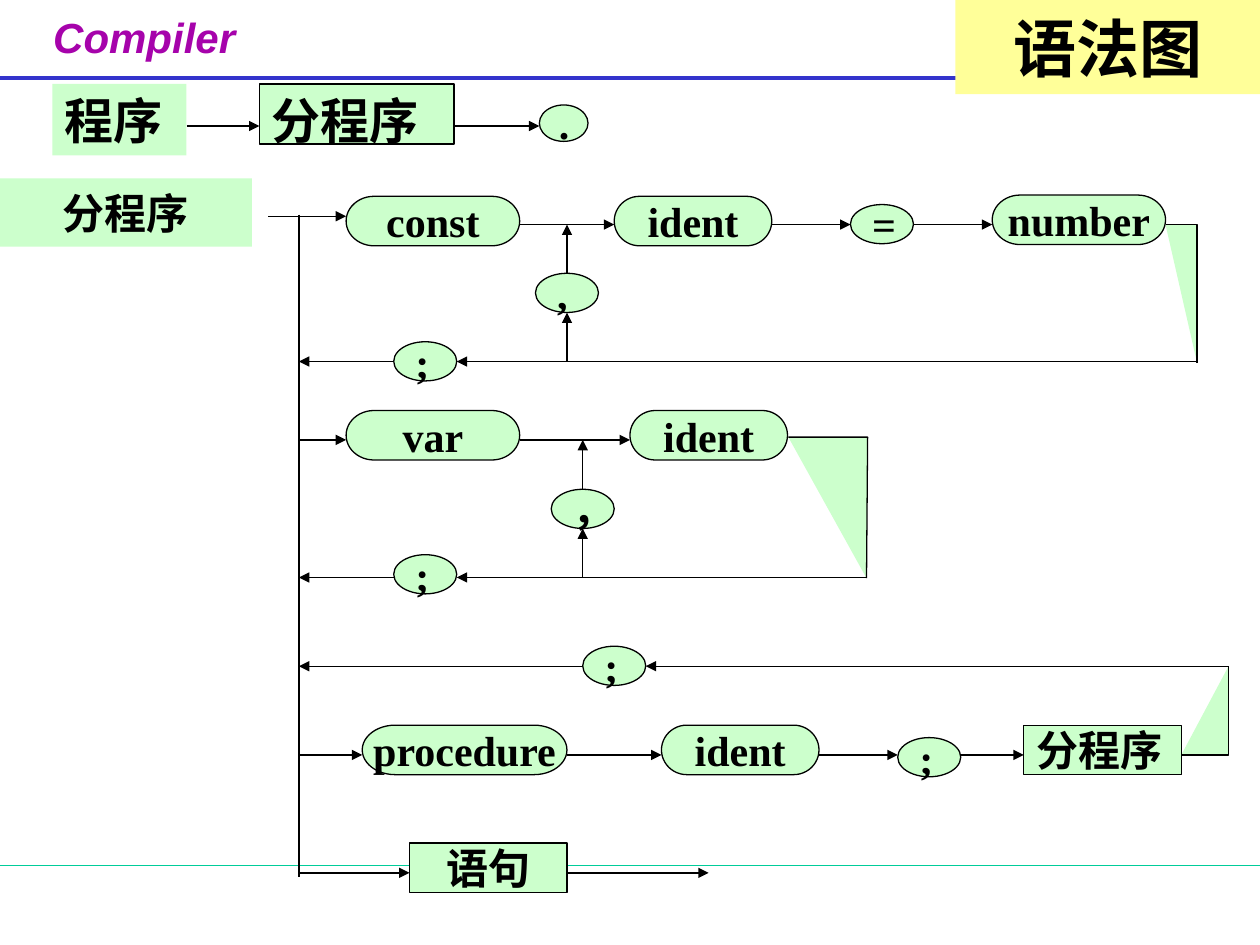
from lxml import etree
from pptx import Presentation
from pptx.dml.color import RGBColor
from pptx.enum.shapes import MSO_CONNECTOR, MSO_SHAPE
from pptx.enum.text import MSO_ANCHOR, PP_ALIGN
from pptx.oxml.ns import qn
from pptx.util import Pt

RECT = MSO_SHAPE.RECTANGLE
STEP = MSO_SHAPE.FLOWCHART_PROCESS
PILL = MSO_SHAPE.FLOWCHART_TERMINATOR
DOT = MSO_SHAPE.FLOWCHART_CONNECTOR
LINE = MSO_CONNECTOR.STRAIGHT
TOP, MID = MSO_ANCHOR.TOP, MSO_ANCHOR.MIDDLE
LEFT, CENTER, JUST = PP_ALIGN.LEFT, PP_ALIGN.CENTER, PP_ALIGN.JUSTIFY

HUES = {"ink": "000000", "green": "CCFFCC", "yellow": "FFFF99",
        "blue": "3333CC", "teal": "00CC99", "purple": "A603AB"}
SERIF, SANS, HAN = "Times New Roman", "Arial", "Noto Sans CJK SC"

RAIL = 170.8
CONST, VAR, PROC, STMT = 128.3, 251.4, 431.4, 498.8
CONST_END, VAR_END, PROC_END = 206.6, 330, 380.7

PILLS = [("const", 197.8, 112.2, 99.2), ("ident", 351, 112.2, 90),
         ("number", 567, 111.5, 99), ("var", 197.8, 234.6, 99.2),
         ("ident", 360, 234.6, 90), ("procedure", 207, 414.4, 117),
         ("ident", 378, 414.4, 90)]
DOTS = [("=", 486, 116.9), (",", 306, 156.2), (";", 225, 195.3),
        ("，", 315, 279.6), (";", 225, 317), (";", 333, 369.3),
        (";", 513, 421.5)]
FLOWS = [(72, [(106.6, 148.3), (259.4, 308.2)]),
         (123.6, [(153.2, 197.8)]),
         (CONST, [(297, 351), (441, 486), (522, 567)]),
         (CONST_END, [(684, 261), (225, RAIL)]),
         (VAR, [(RAIL, 197.8), (297, 360)]),
         (VAR_END, [(495, 261), (225, RAIL)]),
         (PROC_END, [(702, 369), (333, RAIL)]),
         (PROC, [(RAIL, 207), (324, 378), (468, 513), (549, 585)]),
         (STMT, [(RAIL, 234), (324, 405)])]
RISES = [(324, CONST_END, 178.6), (324, 156.2, CONST),
         (333, VAR_END, 302), (333, 279.6, VAR)]
TURNS = [[(666, CONST), (684, CONST), (684, 207.2)],
         [(450.5, 249.8), (495.8, 249.8), (495.2, 330.4)],
         [(675, PROC), (702, PROC), (702, PROC_END)]]


def hue(name):
    """Return the named colour."""
    return RGBColor.from_string(HUES[name])


def write(shape, text, size=24, face=SERIF, align=CENTER, anchor=MID,
          wrap=True, color="ink", italic=False):
    """Put one bold paragraph into a shape."""
    frame = shape.text_frame
    frame.word_wrap = wrap
    frame.vertical_anchor = anchor
    para = frame.paragraphs[0]
    para.text = text
    para.alignment = align
    font = para.font
    font.size, font.name = Pt(size), face
    font.bold, font.italic = True, italic
    font.color.rgb = hue(color)


def paint(shape, fill, edge):
    """Set a shape's fill and its thin outline, if any."""
    shape.shadow.inherit = False
    shape.fill.solid()
    shape.fill.fore_color.rgb = hue(fill)
    if edge:
        shape.line.color.rgb = hue("ink")
        shape.line.width = Pt(0.75)
    else:
        shape.line.fill.background()


def add_box(slide, kind, text, x, y, w, h, fill="green", edge=True, **style):
    """Add a filled shape with its label."""
    shape = slide.shapes.add_shape(kind, Pt(x), Pt(y), Pt(w), Pt(h))
    paint(shape, fill, edge)
    write(shape, text, **style)


def add_line(slide, x1, y1, x2, y2, color="ink", width=0.75, head=False):
    """Add a straight line, with an arrowhead at its end on request."""
    line = slide.shapes.add_connector(LINE, Pt(x1), Pt(y1), Pt(x2), Pt(y2))
    line.line.color.rgb = hue(color)
    line.line.width = Pt(width)
    if head:
        etree.SubElement(line.line._get_or_add_ln(), qn("a:tailEnd"),
                         type="triangle")
    etree.SubElement(line._element.spPr, qn("a:effectLst"))


def add_turn(slide, spots):
    """Add a filled corner path through the given points."""
    start, *rest = [(Pt(x), Pt(y)) for x, y in spots]
    form = slide.shapes.build_freeform(*start)
    form.add_line_segments(rest, close=False)
    paint(form.convert_to_shape(), "green", True)


def add_frame(slide):
    """Add the course name and the two rules across the page."""
    box = slide.shapes.add_textbox(Pt(13.6), Pt(3), Pt(137.6), Pt(44.6))
    write(box, "Compiler", face=SANS, anchor=TOP, wrap=False,
          color="purple", italic=True)
    add_line(slide, 0, 44.7, 720, 44.7, "blue", 2.25)
    add_line(slide, 0, 494.6, 720, 494.6, "teal")


def add_rules(slide):
    """Add the syntax diagram, paths first and symbols on top."""
    add_line(slide, RAIL, 122.6, RAIL, 501)
    for spots in TURNS:
        add_turn(slide, spots)
    for y, spans in FLOWS:
        for x1, x2 in spans:
            add_line(slide, x1, y, x2, y, head=True)
    for x, y1, y2 in RISES:
        add_line(slide, x, y1, x, y2, head=True)
    for text, x, y, w in PILLS:
        add_box(slide, PILL, text, x, y, w, 28.3, wrap=False)
    for text, x, y in DOTS:
        add_box(slide, DOT, text, x, y, 36, 22.4, align=JUST,
                wrap=text in "=，")
    add_box(slide, DOT, ".", 308.2, 60, 27.8, 20.8, align=JUST, wrap=False)
    add_box(slide, STEP, "分程序", 585, 414.4, 90, 28.3, align=JUST)
    add_box(slide, STEP, "语句", 234, 481.7, 90, 28.3)


def add_heads(slide):
    """Add the rule names and the slide title."""
    add_box(slide, RECT, "分程序", 148.3, 48, 111.1, 34.3,
            size=28, align=JUST, anchor=TOP)
    add_box(slide, RECT, "程序", 30, 48, 76.6, 40.8, edge=False,
            size=28, face=HAN, align=LEFT, anchor=TOP)
    add_box(slide, RECT, "分程序", 0, 102, 144, 39, edge=False, face=HAN)
    add_box(slide, RECT, "语法图", 546, 0, 174, 53.8, fill="yellow",
            edge=False, size=36, face=HAN)


def main():
    """Build and save the slide."""
    deck = Presentation()
    deck.slide_width, deck.slide_height = Pt(720), Pt(540)
    slide = deck.slides.add_slide(deck.slide_layouts[6])
    add_frame(slide)
    add_rules(slide)
    add_heads(slide)
    deck.save("out.pptx")


if __name__ == "__main__":
    main()
